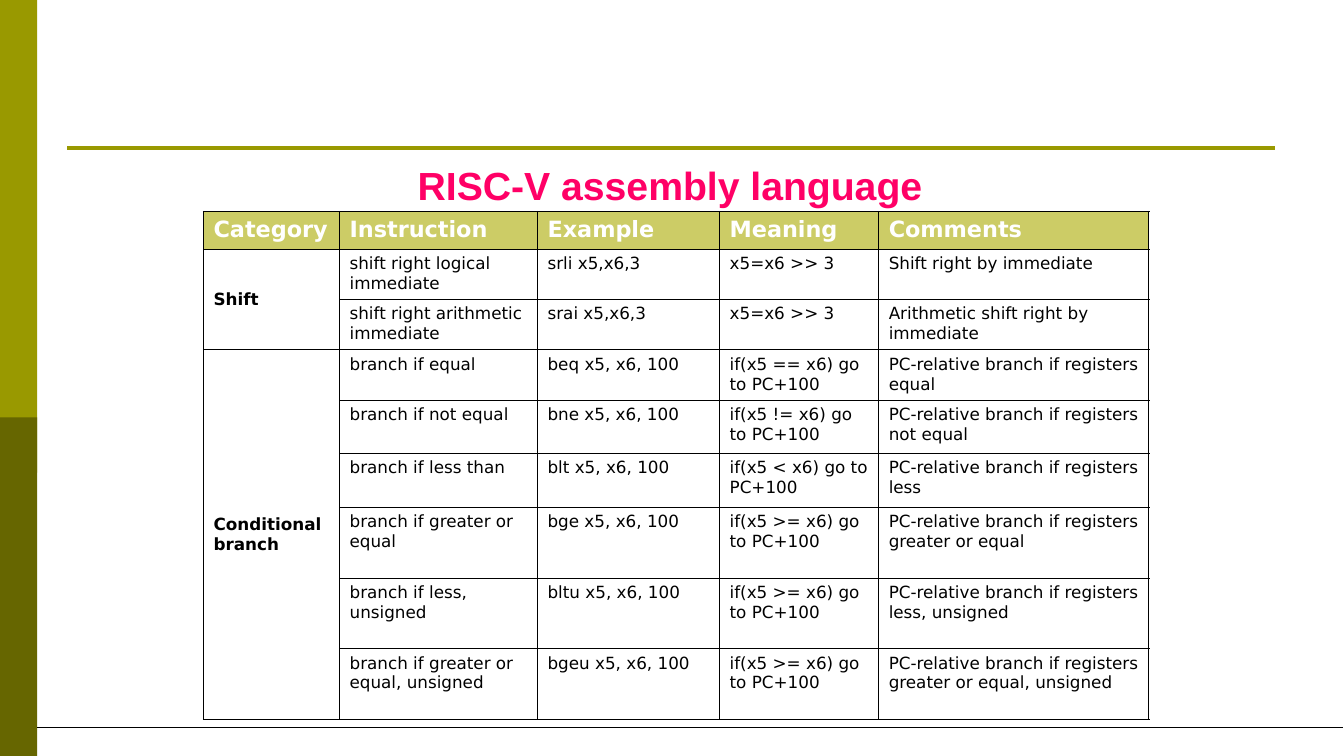
from dataclasses import dataclass

import lxml.etree
import pptx
import pptx.dml.color
import pptx.enum.shapes
import pptx.enum.text
import pptx.oxml.ns
import pptx.util

Cm = pptx.util.Cm
ANCHOR = pptx.enum.text.MSO_ANCHOR
ALIGN = pptx.enum.text.PP_ALIGN

COLORS = {
    "olive": "999900",
    "dark olive": "666600",
    "header": "CCCC66",
    "title": "FF0066",
    "black": "000000",
    "white": "FFFFFF",
}
TABLE_FONT = "DejaVu Sans"
INNER_BORDER, OUTER_BORDER = 0.45, 1.08


@dataclass
class Band:
    top: float
    height: float
    color: str


@dataclass
class Rule:
    left: float
    right: float
    y: float
    color: str
    weight: float


@dataclass
class Category:
    name: str
    instructions: list[tuple[str, str, str, str]]


BANDS = [Band(0, 11.91, "olive"), Band(10.52, 8.53, "dark olive")]
RULES = [Rule(1.7, 32.13, 3.73, "olive", 3), Rule(0.94, 33.86, 18.34, "black", 0.75)]
HEADERS = ["Category", "Instruction", "Example", "Meaning", "Comments"]
COLUMN_WIDTHS = [3.43, 4.99, 4.59, 4.01, 6.81]
ROW_HEIGHTS = [0.94, 1.27, 1.27, 1.27, 1.34, 1.36, 1.78, 1.78, 1.78]
CATEGORIES = [
    Category("Shift", [
        ("shift right logical immediate", "srli x5,x6,3", "x5=x6 >> 3",
         "Shift right by immediate"),
        ("shift right arithmetic immediate", "srai x5,x6,3", "x5=x6 >> 3",
         "Arithmetic shift right by immediate"),
    ]),
    Category("Conditional branch", [
        ("branch if equal", "beq x5, x6, 100", "if(x5 == x6) go to PC+100",
         "PC-relative branch if registers equal"),
        ("branch if not equal", "bne x5, x6, 100", "if(x5 != x6) go to PC+100",
         "PC-relative branch if registers not equal"),
        ("branch if less than", "blt x5, x6, 100", "if(x5 < x6) go to PC+100",
         "PC-relative branch if registers less"),
        ("branch if greater or equal", "bge x5, x6, 100", "if(x5 >= x6) go to PC+100",
         "PC-relative branch if registers greater or equal"),
        ("branch if less, unsigned", "bltu x5, x6, 100", "if(x5 >= x6) go to PC+100",
         "PC-relative branch if registers less, unsigned"),
        ("branch if greater or equal, unsigned", "bgeu x5, x6, 100",
         "if(x5 >= x6) go to PC+100",
         "PC-relative branch if registers greater or equal, unsigned"),
    ]),
]


def rgb(name: str) -> pptx.dml.color.RGBColor:
    return pptx.dml.color.RGBColor.from_string(COLORS[name])


def write_text(frame, text: str, *, size: float, color: str = "black", bold: bool = False,
               font: str = TABLE_FONT, align=ALIGN.LEFT) -> None:
    frame.word_wrap = True
    para = frame.paragraphs[0]
    para.alignment = align
    span = para.add_run()
    span.text = text
    span.font.name = font
    span.font.size = pptx.util.Pt(size)
    span.font.bold = bold
    span.font.color.rgb = rgb(color)


def draw_band(page, band: Band) -> None:
    shape = page.shapes.add_shape(pptx.enum.shapes.MSO_SHAPE.RECTANGLE, Cm(0), Cm(band.top),
                                  Cm(0.94), Cm(band.height))
    shape.shadow.inherit = False
    shape.fill.solid()
    shape.fill.fore_color.rgb = rgb(band.color)
    shape.line.fill.background()


def draw_rule(page, rule: Rule) -> None:
    line = page.shapes.add_connector(pptx.enum.shapes.MSO_CONNECTOR.STRAIGHT, Cm(rule.left),
                                     Cm(rule.y), Cm(rule.right), Cm(rule.y))
    line.line.color.rgb = rgb(rule.color)
    line.line.width = pptx.util.Pt(rule.weight)
    lxml.etree.SubElement(line._element.spPr, pptx.oxml.ns.qn("a:effectLst"))


def set_borders(cell, weights: dict[str, float]) -> None:
    """Add cell borders; the keys are the sides L, R, T and B in that order."""
    qn = pptx.oxml.ns.qn
    properties = cell._tc.get_or_add_tcPr()
    for side, weight in weights.items():
        border = lxml.etree.SubElement(properties, qn(f"a:ln{side}"),
                                       w=str(int(pptx.util.Pt(weight))))
        fill = lxml.etree.SubElement(border, qn("a:solidFill"))
        lxml.etree.SubElement(fill, qn("a:srgbClr"), val=COLORS["black"])


def style_cell(cell, row: int, column: int) -> None:
    last_row, last_column = len(ROW_HEIGHTS) - 1, len(COLUMN_WIDTHS) - 1
    outer_sides = {
        "L": column == 0,
        "R": column == last_column,
        "T": row == 0,
        "B": column == 0 and row == last_row,
    }
    set_borders(cell, {side: OUTER_BORDER if outer else INNER_BORDER
                       for side, outer in outer_sides.items()})
    if row == 0:
        cell.fill.solid()
        cell.fill.fore_color.rgb = rgb("header")
    else:
        cell.fill.background()


def draw_instruction_table(page) -> None:
    table = page.shapes.add_table(len(ROW_HEIGHTS), len(COLUMN_WIDTHS), Cm(5.13), Cm(5.33),
                                  Cm(sum(COLUMN_WIDTHS)), Cm(sum(ROW_HEIGHTS))).table
    table.first_row = table.horz_banding = False
    for column, width in zip(table.columns, COLUMN_WIDTHS):
        column.width = Cm(width)
    for table_row, height in zip(table.rows, ROW_HEIGHTS):
        table_row.height = Cm(height)
    for row in range(len(ROW_HEIGHTS)):
        for column in range(len(COLUMN_WIDTHS)):
            style_cell(table.cell(row, column), row, column)

    for column, header in enumerate(HEADERS):
        write_text(table.cell(0, column).text_frame, header, size=16, color="white", bold=True)
    row = 1
    for category in CATEGORIES:
        name_cell = table.cell(row, 0)
        name_cell.merge(table.cell(row + len(category.instructions) - 1, 0))
        name_cell.vertical_anchor = ANCHOR.MIDDLE
        write_text(name_cell.text_frame, category.name, size=12, bold=True)
        for instruction in category.instructions:
            for column, text in enumerate(instruction, start=1):
                write_text(table.cell(row, column).text_frame, text, size=12)
            row += 1


def main() -> None:
    deck = pptx.Presentation()
    deck.slide_width, deck.slide_height = Cm(33.88), Cm(19.05)
    page = deck.slides.add_slide(deck.slide_layouts[6])
    for band in BANDS:
        draw_band(page, band)
    for rule in RULES:
        draw_rule(page, rule)
    title_box = page.shapes.add_textbox(Cm(9.53), Cm(3.94), Cm(14.99), Cm(1.45))
    write_text(title_box.text_frame, "RISC-V assembly language ", size=28, color="title",
               bold=True, font="Arial", align=ALIGN.CENTER)
    draw_instruction_table(page)
    deck.save("out.pptx")


if __name__ == "__main__":
    main()
